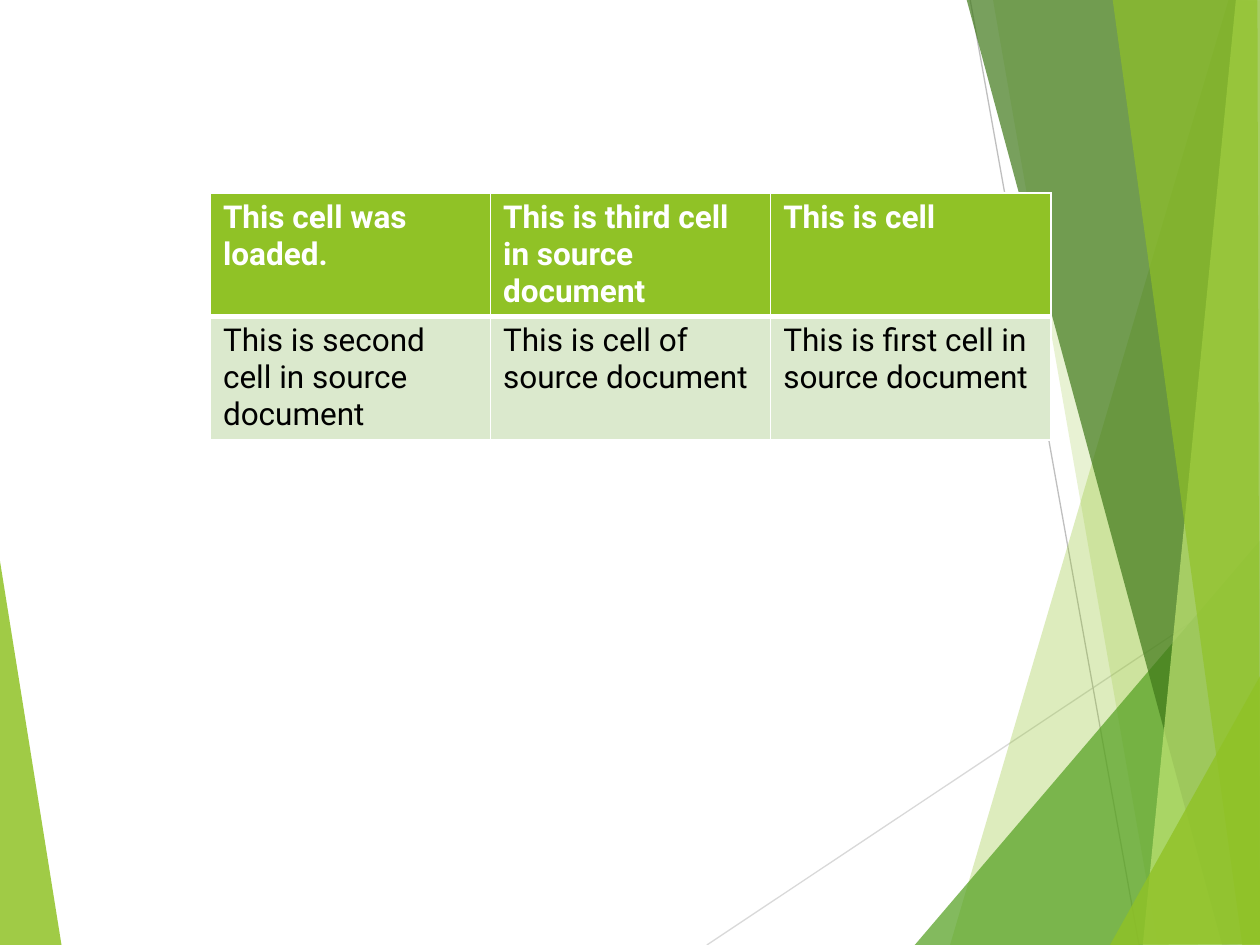
"""Build a slide with a two-row table over a green faceted backdrop."""
from lxml import etree
from pptx import Presentation
from pptx import util as u
from pptx.dml.color import RGBColor
from pptx.enum import shapes
from pptx.oxml import ns

THEME = {
    "font": "Roboto", "size": u.Pt(18),
    "lime": "90C226", "green": "54A021", "forest": "3F7819", "pale": "C0E474",
    "light_rule": "D9D9D9", "dark_rule": "BFBFBF",
    "body_fill": "DBE9CD", "white": "FFFFFF", "black": "000000",
}


def rgb(name):
    return RGBColor.from_string(THEME[name])


def add_facet(slide, points, colour, opacity):
    corners = [(u.Inches(x), u.Inches(y)) for x, y in points]
    outline = slide.shapes.build_freeform(*corners[0])
    outline.add_line_segments(corners[1:], close=True)
    facet = outline.convert_to_shape()
    facet.shadow.inherit = False
    facet.line.fill.background()
    facet.fill.solid()
    facet.fill.fore_color.rgb = rgb(colour)
    tint = facet.fill._xPr.find(".//" + ns.qn("a:srgbClr"))
    etree.SubElement(tint, ns.qn("a:alpha"), val=str(opacity * 1000))


deck = Presentation()
deck.slide_width, deck.slide_height = u.Inches(10), u.Inches(7.5)
slide = deck.slides.add_slide(deck.slide_layouts[6])

add_facet(slide, [(-0.01, 4.39), (0.49, 7.51), (-0.01, 7.5)], "lime", 85)

rules = [
    ((5.61, 7.5), (10.01, 4.57), "light_rule"),
    ((7.7, 0), (9.04, 7.5), "dark_rule"),
]
for start, end, colour in rules:
    rule = slide.shapes.add_connector(
        shapes.MSO_CONNECTOR.STRAIGHT, *map(u.Inches, start + end))
    rule.line.color.rgb = rgb(colour)
    rule.line.width = u.Pt(0.75)
    etree.SubElement(rule._element.spPr, ns.qn("a:effectLst"))

right_facets = [
    ([(9.75, 0), (7.54, 7.5), (10.02, 7.51), (10.01, 0.01)], "lime", 30),
    ([(7.88, -0.01), (9.19, 7.5), (10.01, 7.5), (10.01, -0.01)], "lime", 20),
    ([(7.26, 7.5), (10, 4.29), (10.01, 7.5)], "green", 72),
    ([(7.67, -0.01), (9.7, 7.5), (10.01, 7.49), (10.01, -0.01)], "forest", 70),
    ([(9.81, -0.01), (9.07, 7.5), (10.01, 7.5), (10, -0.01)], "pale", 70),
    ([(8.83, -0.01), (9.86, 7.5), (10, 7.5), (9.98, -0.01)], "lime", 65),
    ([(8.81, 7.5), (10.01, 5.35), (10.01, 7.49)], "lime", 80),
]
for points, colour, opacity in right_facets:
    add_facet(slide, points, colour, opacity)

cell_texts = [
    ["This cell was loaded.", "This is third cell in source document", "This is cell"],
    ["This is second cell in source document", "This is cell of source document",
     "This is first cell in source document"],
]
row_styles = [
    {"fill": "lime", "text": "white", "bold": True,
     "borders": {"L": 1, "R": 1, "T": 1, "B": 3}},
    {"fill": "body_fill", "text": "black", "bold": False,
     "borders": {"L": 1, "R": 1, "T": 3, "B": 1}},
]
grid = slide.shapes.add_table(
    2, 3, u.Inches(1.67), u.Inches(1.53), u.Inches(6.67), u.Inches(1.96)).table

for row, texts, style in zip(grid.rows, cell_texts, row_styles):
    for cell, words in zip(row.cells, texts):
        cell.text = words
        paragraph = cell.text_frame.paragraphs[0]
        paragraph.font.name = THEME["font"]
        paragraph.font.size = THEME["size"]
        paragraph.font.bold = style["bold"]
        paragraph.font.color.rgb = rgb(style["text"])
        properties = cell._tc.get_or_add_tcPr()
        for side, points in style["borders"].items():
            border = etree.SubElement(
                properties, ns.qn("a:ln" + side), w=str(u.Pt(points)))
            paint = etree.SubElement(border, ns.qn("a:solidFill"))
            etree.SubElement(paint, ns.qn("a:srgbClr"), val=THEME["white"])
        cell.fill.solid()
        cell.fill.fore_color.rgb = rgb(style["fill"])

deck.save("out.pptx")
